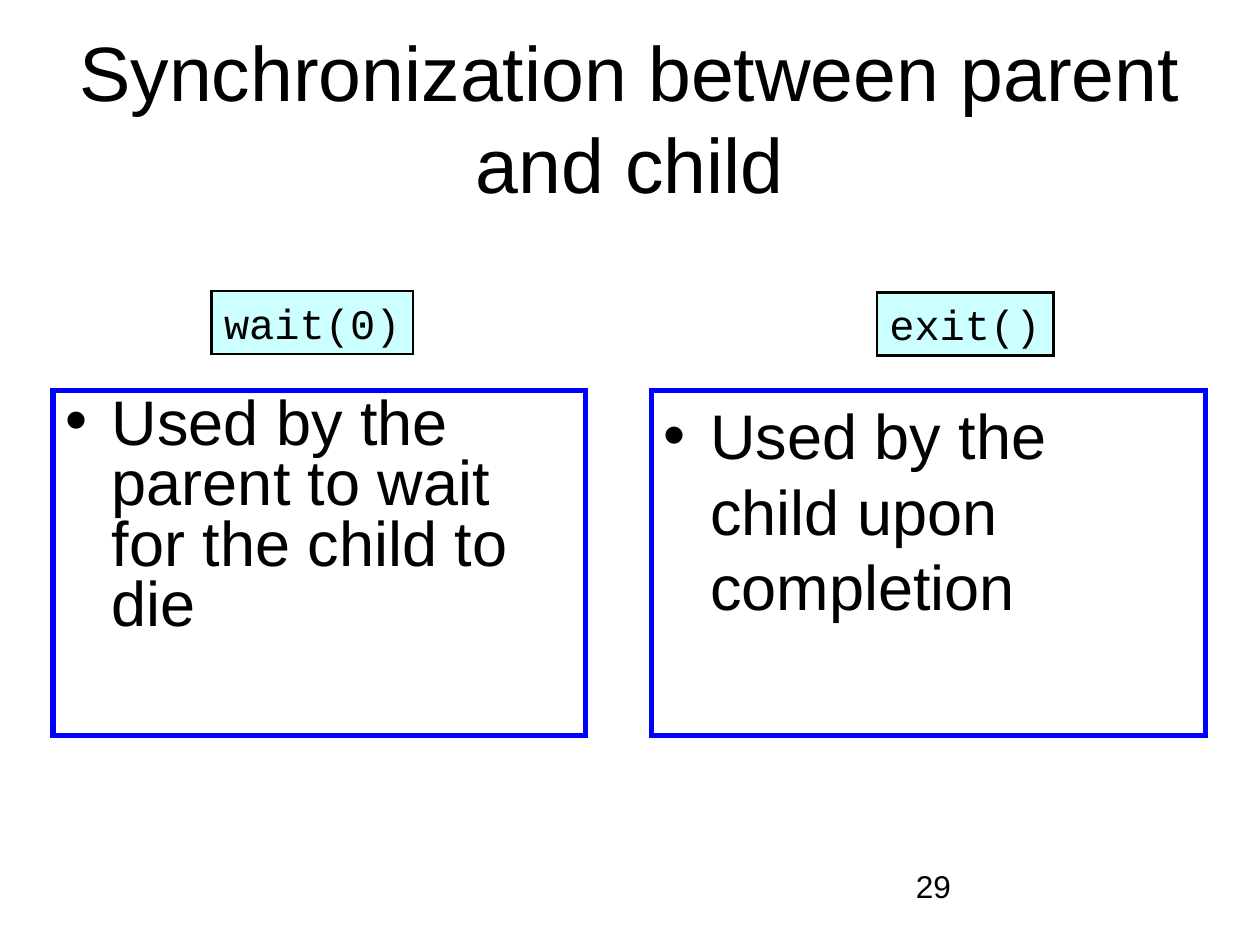
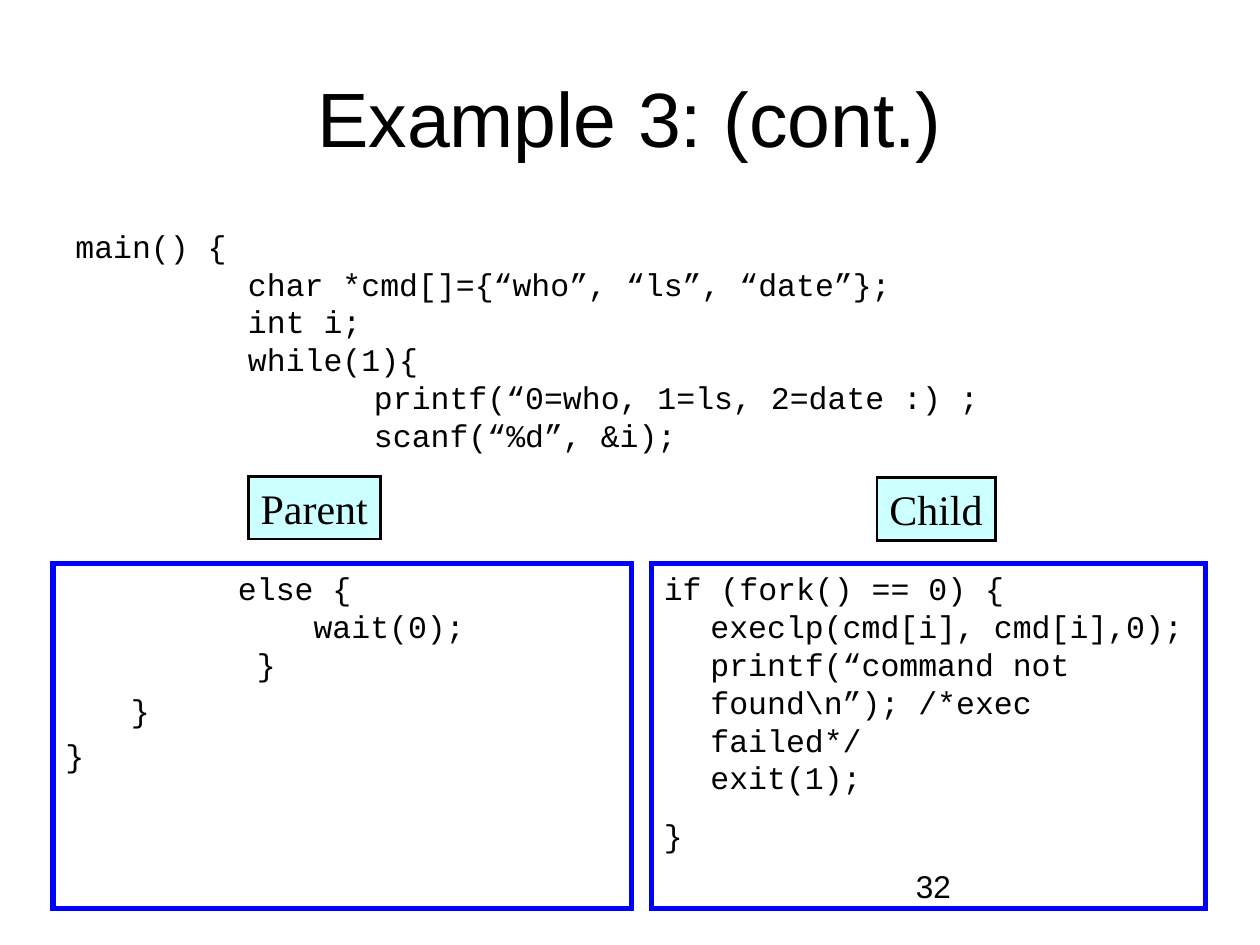
from dataclasses import dataclass

from lxml import etree
from pptx import Presentation
from pptx.dml.color import RGBColor
from pptx.enum.shapes import MSO_SHAPE as Shape
from pptx.enum.text import MSO_ANCHOR as Anchor, MSO_AUTO_SIZE as AutoSize, PP_ALIGN as Align
from pptx.oxml.ns import qn
from pptx.util import Inches, Pt

BLACK, BLUE, CYAN = "000000", "0000FF", "CCFFFF"
SANS, MONO, SERIF = "Arial", "Courier New", "Times New Roman"
HANG = 0.37
TAB_WIDTH = 1


@dataclass
class TextStyle:
    size: float
    font: str = SANS
    align: Align = Align.LEFT
    hanging: bool = False
    bullet: str = ""
    before: float = 0
    line_spacing: float | None = None


@dataclass
class Tag:
    text: str
    left: float
    top: float
    width: float
    font: str


@dataclass
class Panel:
    left: float
    top: float
    width: float
    paragraphs: list[str]
    style: TextStyle


TITLE = TextStyle(44, align=Align.CENTER)
NUMBER = TextStyle(18)
CODE = TextStyle(18, MONO, hanging=True, before=4.5)
CHILD_CODE = TextStyle(18, MONO, hanging=True, before=11.2)
TIGHT_BULLET = TextStyle(36, hanging=True, bullet="•", line_spacing=0.8)
BULLET = TextStyle(36, hanging=True, bullet="•")


def color(value: str) -> RGBColor:
    return RGBColor.from_string(value)


def add_paragraph_marks(para, style: TextStyle) -> None:
    """Set the hanging indent, the tab width and the bullet."""
    props = para._p.get_or_add_pPr()
    props.set("defTabSz", str(Inches(TAB_WIDTH)))
    if style.hanging:
        props.set("marL", str(Inches(HANG)))
        props.set("indent", str(-Inches(HANG)))
    if style.bullet:
        etree.SubElement(props, qn("a:buFont"), typeface=style.font)
        etree.SubElement(props, qn("a:buChar"), char=style.bullet)
    else:
        etree.SubElement(props, qn("a:buNone"))


def write(frame, paragraphs: list[str], style: TextStyle) -> None:
    for index, text in enumerate(paragraphs):
        para = frame.add_paragraph() if index else frame.paragraphs[0]
        para.text = text
        add_paragraph_marks(para, style)
        para.alignment = style.align
        para.space_before = Pt(style.before if index else 0)
        if style.line_spacing:
            para.line_spacing = style.line_spacing
        for span in para.runs:
            span.font.size = Pt(style.size)
            span.font.name = style.font
            span.font.color.rgb = color(BLACK)


def add_text(page, left: float, top: float, width: float, height: float,
             paragraphs: list[str], style: TextStyle, anchor=Anchor.TOP) -> None:
    box = page.shapes.add_textbox(Inches(left), Inches(top), Inches(width), Inches(height))
    box.text_frame.word_wrap = True
    box.text_frame.vertical_anchor = anchor
    write(box.text_frame, paragraphs, style)


def add_frame(page, left: float, top: float, width: float, height: float,
              line: str, weight: float, fill: str = ""):
    box = page.shapes.add_shape(Shape.RECTANGLE, Inches(left), Inches(top),
                                Inches(width), Inches(height))
    box.shadow.inherit = False
    if fill:
        box.fill.solid()
        box.fill.fore_color.rgb = color(fill)
    else:
        box.fill.background()
    box.line.color.rgb = color(line)
    box.line.width = Pt(weight)
    # Square corners
    etree.SubElement(box.line._get_or_add_ln(), qn("a:miter"), lim="800000")
    box.text_frame.vertical_anchor = Anchor.TOP
    return box.text_frame


def add_tag(page, tag: Tag) -> None:
    frame = add_frame(page, tag.left, tag.top, tag.width, 0.5, BLACK, 1.5, CYAN)
    frame.word_wrap = False
    frame.auto_size = AutoSize.SHAPE_TO_FIT_TEXT
    write(frame, [tag.text], TextStyle(24, tag.font))


def add_panel(page, panel: Panel) -> None:
    frame = add_frame(page, panel.left, panel.top, panel.width, 2.74, BLUE, 3)
    frame.word_wrap = True
    write(frame, panel.paragraphs, panel.style)


def add_page(deck, title: str, title_top: float, title_height: float, number: int,
             tags: list[Tag], panels: list[Panel]):
    page = deck.slides.add_slide(deck.slide_layouts[6])
    add_text(page, 7.17, 6.83, 2.33, 0.52, [str(number)], NUMBER)
    add_text(page, 0.5, title_top, 9, title_height, [title], TITLE, Anchor.MIDDLE)
    for tag in tags:
        add_tag(page, tag)
    for panel in panels:
        add_panel(page, panel)
    return page


def main() -> None:
    deck = Presentation()
    deck.slide_width, deck.slide_height = Inches(10), Inches(7.5)

    # Roles of wait and exit
    add_page(
        deck, "Synchronization between parent and child", 0.14, 1.57, 29,
        [Tag("wait(0)", 1.68, 2.31, 1.6, MONO), Tag("exit()", 6.96, 2.32, 1.4, MONO)],
        [Panel(0.42, 3.1, 4.23, ["Used by the parent to wait for the child to die"], TIGHT_BULLET),
         Panel(5.17, 3.1, 4.4, ["Used by the child upon completion"], BULLET)])

    # Command loop, split into parent and child code
    parent_code = ["\t\telse {\n\t    wait(0);\n\t }", "\t }", "}"]
    child_code = ["if (fork() == 0) {\nexeclp(cmd[i], cmd[i],0);\n"
                  "printf(“command not found\\n”); /*exec failed*/\nexit(1);", "}"]
    page = add_page(
        deck, "Example 3: (cont.)", 0.3, 1.25, 32,
        [Tag("Parent", 1.97, 3.78, 1.05, SERIF), Tag("Child", 6.96, 3.79, 0.94, SERIF)],
        [Panel(0.42, 4.47, 4.59, parent_code, CODE),
         Panel(5.17, 4.47, 4.4, child_code, CHILD_CODE)])
    main_code = ("main() {\n\tchar *cmd[]={“who”, “ls”, “date”};\n\tint i;\n\twhile(1){\n"
                 "\t\tprintf(“0=who, 1=ls, 2=date :) ;\n\t\tscanf(“%d”, &i);")
    add_text(page, 0.5, 1.75, 9, 4.95, [main_code], CODE)

    deck.save("out.pptx")


if __name__ == "__main__":
    main()
